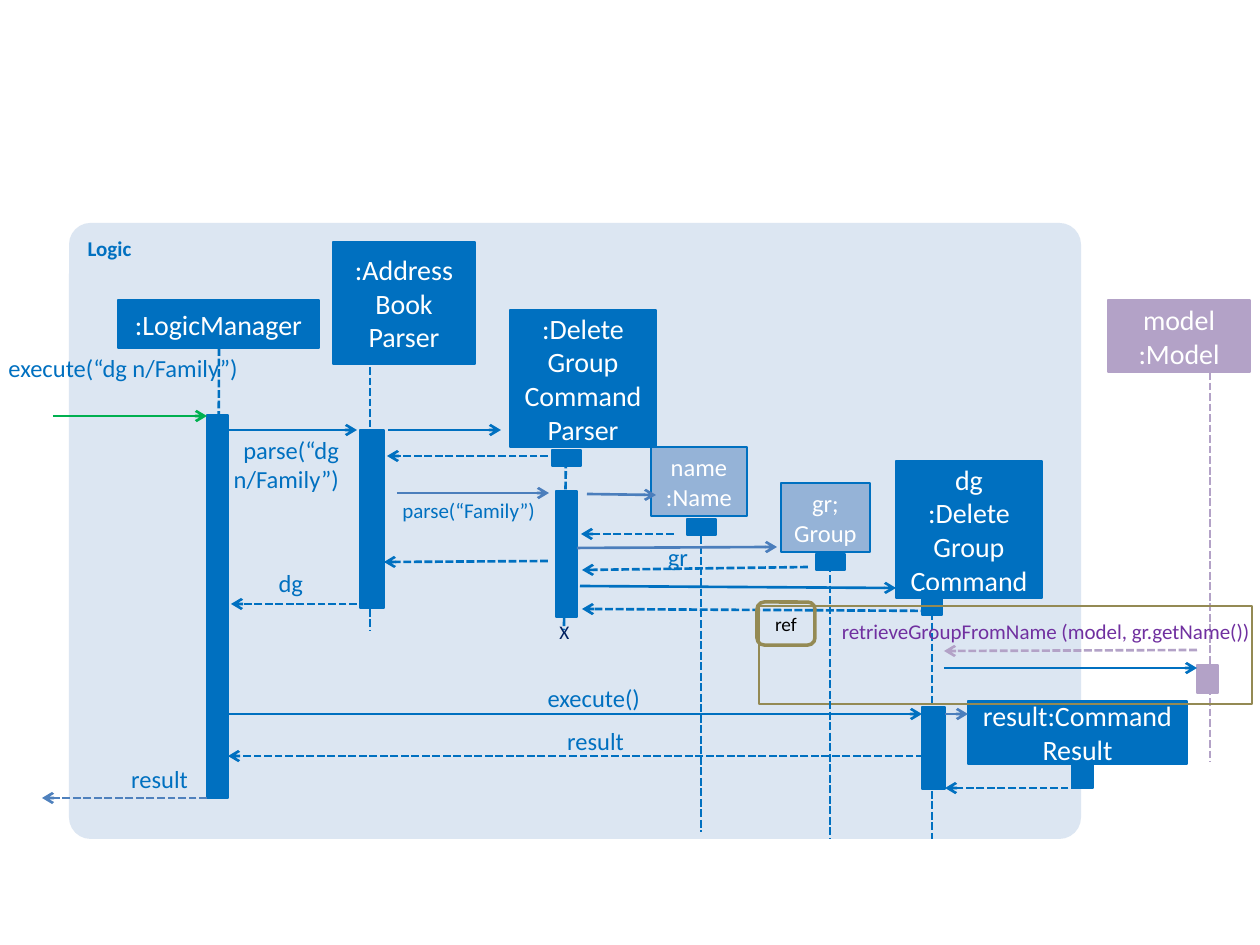
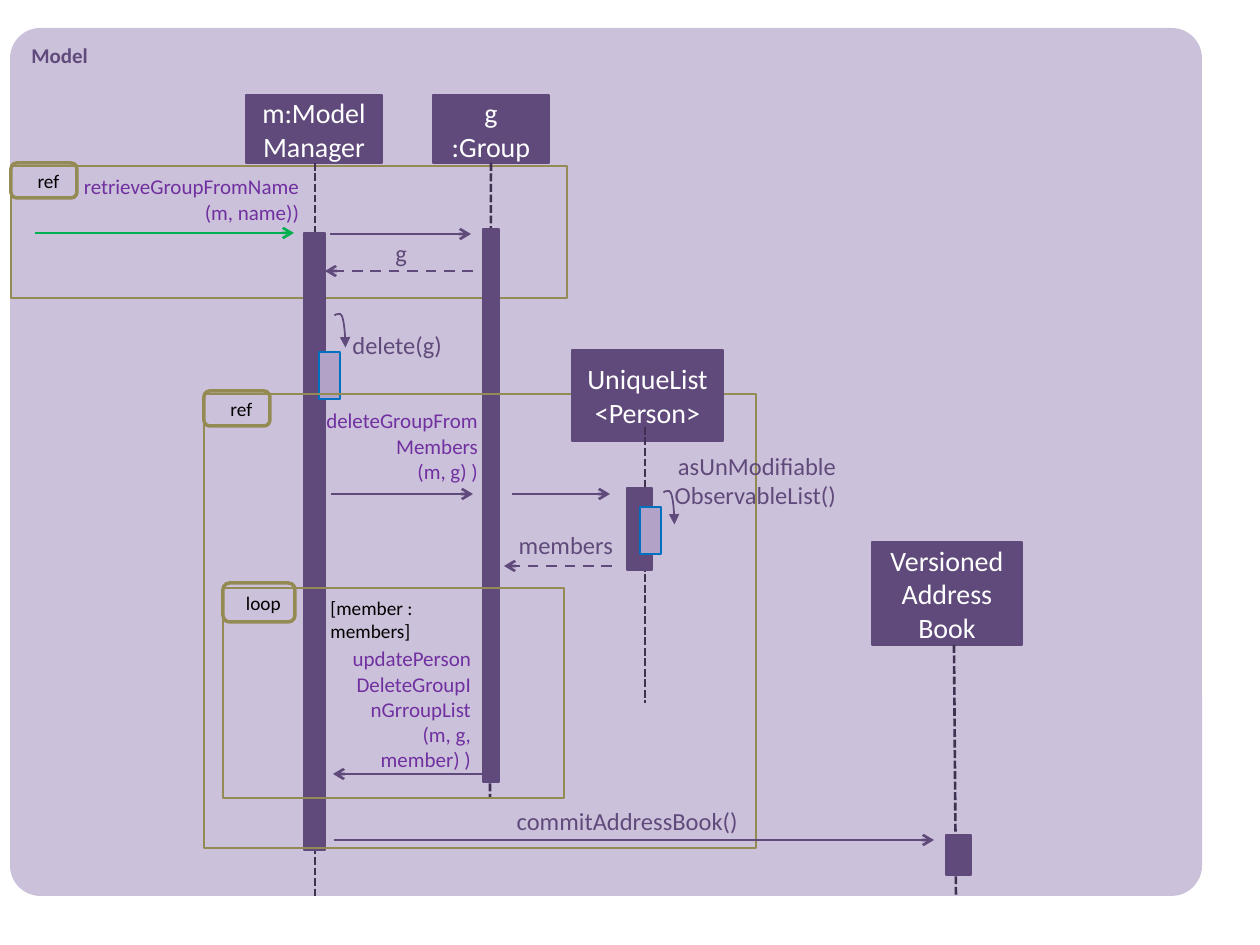
from dataclasses import dataclass
from typing import Optional, Union

from pptx import Presentation
from pptx import util as u
from pptx.dml.color import RGBColor
from pptx.enum import dml, shapes, text
from pptx.oxml import ns, xmlchemy

SCALE = 914400 / 126


@dataclass(frozen=True)
class Theme:
    font: str = "Calibri"
    blue: str = "0070C0"
    steel: str = "4B7EBC"
    azure: str = "4F81BD"
    light: str = "95B3D7"
    pale: str = "DCE6F2"
    navy: str = "002060"
    green: str = "00B050"
    lilac: str = "B3A2C7"
    mauve: str = "CCC1DA"
    plum: str = "604A7B"
    dark: str = "403152"
    violet: str = "7030A0"
    olive: str = "948A54"
    white: str = "FFFFFF"
    black: str = "000000"
    big: int = 16
    mid: int = 14
    small: int = 12
    tiny: int = 11


T = Theme()
ALIGN = text.PP_ALIGN
DASH = dml.MSO_LINE


@dataclass
class Panel:
    x: int
    y: int
    w: int
    h: int
    label: str
    fill: str
    ink: str


@dataclass
class Head:
    x: int
    y: int
    w: int
    h: int
    lines: tuple[str, ...]
    fill: str = T.blue
    edge: str = ""
    size: int = T.big


@dataclass
class Bar:
    x: int
    y: int
    w: int
    h: int
    fill: str = T.blue
    edge: str = ""


@dataclass
class Link:
    x1: int
    y1: int
    x2: int
    y2: int
    color: str = T.blue
    dash: Optional[DASH] = None
    tip: str = "arrow"


@dataclass
class Loop:
    x: int
    y: int
    w: int = 32
    h: int = 11
    color: str = T.plum


@dataclass
class Note:
    x: int
    y: int
    w: int
    h: int
    lines: tuple[str, ...]
    ink: str = T.blue
    size: int = T.mid


@dataclass
class Guard:
    x: int
    y: int
    w: int
    h: int
    label: str
    ink: str
    wrap: bool = True


@dataclass
class Frame:
    x: int
    y: int
    w: int
    h: int
    label: str
    tab: tuple[int, int, int, int]
    shift: int = 0


Item = Union[Panel, Head, Bar, Link, Loop, Note, Guard, Frame]


def px(n: float) -> u.Emu:
    return u.Emu(round(n * SCALE))


def rgb(code: str) -> RGBColor:
    return RGBColor.from_string(code)


def call(x1: int, y1: int, x2: int, y2: int, color: str = T.blue) -> Link:
    return Link(x1, y1, x2, y2, color)


def reply(x1: int, y1: int, x2: int, y2: int, color: str = T.blue,
          dash: DASH = DASH.SQUARE_DOT) -> Link:
    return Link(x1, y1, x2, y2, color, dash)


def life(x1: int, y1: int, x2: int, y2: int, color: str = T.blue) -> Link:
    return Link(x1, y1, x2, y2, color, DASH.SQUARE_DOT, "")


def write(frame, lines: tuple[str, ...], size: int, ink: str,
          align: ALIGN, bold: bool = False) -> None:
    for i, line in enumerate(lines):
        para = frame.paragraphs[0] if i == 0 else frame.add_paragraph()
        para.alignment = align
        for j, part in enumerate(line.split("\n")):
            if j:
                para.add_line_break()
            run = para.add_run()
            run.text = part
            run.font.name = T.font
            run.font.size = u.Pt(size)
            run.font.bold = bold
            run.font.color.rgb = rgb(ink)


def block(pen, kind, area: tuple[int, int, int, int], fill: str,
          edge: str, width: float):
    shape = pen.add_shape(kind, *map(px, area))
    shape.shadow.inherit = False
    if fill:
        shape.fill.solid()
        shape.fill.fore_color.rgb = rgb(fill)
    else:
        shape.fill.background()
    if edge:
        shape.line.color.rgb = rgb(edge)
        shape.line.width = u.Pt(width)
    else:
        shape.line.fill.background()
    shape.text_frame.word_wrap = True
    return shape


def wire(pen, kind, ends: tuple[int, int, int, int], color: str,
         width: float, tip: str):
    line = pen.add_connector(kind, *map(px, ends))
    line.line.color.rgb = rgb(color)
    line.line.width = u.Pt(width)
    props = line.element.spPr
    if tip:
        end = xmlchemy.OxmlElement("a:tailEnd")
        end.set("type", tip)
        props.find(ns.qn("a:ln")).append(end)
    props.append(xmlchemy.OxmlElement("a:effectLst"))
    return line


def panel(pen, p: Panel) -> None:
    shape = block(pen, shapes.MSO_SHAPE.ROUNDED_RECTANGLE,
                  (p.x, p.y, p.w, p.h), p.fill, "", 0)
    shape.adjustments[0] = 0.035
    shape.text_frame.vertical_anchor = text.MSO_ANCHOR.TOP
    write(shape.text_frame, (p.label,), T.small, p.ink, ALIGN.LEFT, True)


def head(pen, h: Head) -> None:
    shape = block(pen, shapes.MSO_SHAPE.RECTANGLE, (h.x, h.y, h.w, h.h),
                  h.fill, h.edge or h.fill, 1.5)
    shape.text_frame.vertical_anchor = text.MSO_ANCHOR.MIDDLE
    write(shape.text_frame, h.lines, h.size, T.white, ALIGN.CENTER)


def bar(pen, b: Bar) -> None:
    block(pen, shapes.MSO_SHAPE.RECTANGLE, (b.x, b.y, b.w, b.h),
          b.fill, b.edge or b.fill, 0.75)


def link(pen, k: Link) -> None:
    line = wire(pen, shapes.MSO_CONNECTOR.STRAIGHT,
                (k.x1, k.y1, k.x2, k.y2), k.color, 1.5, k.tip)
    if k.dash:
        line.line.dash_style = k.dash


def loop(pen, c: Loop) -> None:
    line = wire(pen, shapes.MSO_CONNECTOR.CURVE,
                (c.x + c.w, c.y, c.x, c.y + c.h), c.color, 1, "triangle")
    props = line.element.spPr
    props.find(ns.qn("a:xfrm")).set("rot", str(270 * 60000))
    guide = xmlchemy.OxmlElement("a:gd")
    guide.set("name", "adj1")
    guide.set("fmla", "val -5400")
    geom = props.find(ns.qn("a:prstGeom"))
    geom.find(ns.qn("a:avLst")).append(guide)


def note(pen, n: Note) -> None:
    frame = pen.add_textbox(*map(px, (n.x, n.y, n.w, n.h))).text_frame
    frame.margin_left = frame.margin_right = 0
    frame.margin_top = frame.margin_bottom = 0
    frame.word_wrap = True
    frame.auto_size = text.MSO_AUTO_SIZE.SHAPE_TO_FIT_TEXT
    write(frame, n.lines, n.size, n.ink, ALIGN.RIGHT)


def guard(pen, g: Guard) -> None:
    frame = pen.add_textbox(*map(px, (g.x, g.y, g.w, g.h))).text_frame
    frame.word_wrap = g.wrap
    frame.auto_size = text.MSO_AUTO_SIZE.SHAPE_TO_FIT_TEXT
    write(frame, (g.label,), T.tiny, g.ink, ALIGN.LEFT)


def fence(pen, f: Frame) -> None:
    group = pen.add_group_shape().shapes
    block(group, shapes.MSO_SHAPE.RECTANGLE, (f.x, f.y, f.w, f.h),
          "", T.olive, 1.5)
    tab = block(group, shapes.MSO_SHAPE.ROUNDED_RECTANGLE, f.tab,
                "", T.olive, 2)
    tab.text_frame.margin_left = px(f.shift)
    tab.text_frame.margin_right = 0
    tab.text_frame.vertical_anchor = text.MSO_ANCHOR.MIDDLE
    write(tab.text_frame, (f.label,), T.tiny, T.black, ALIGN.CENTER)


DRAW = {Panel: panel, Head: head, Bar: bar, Link: link, Loop: loop,
        Note: note, Guard: guard, Frame: fence}

LOGIC: list[Item] = [
    Panel(69, 223, 1012, 616, "Logic", T.pale, T.blue),
    Head(118, 300, 201, 48, (":LogicManager",)),
    life(219, 348, 218, 714),
    Bar(207, 415, 21, 383),
    Head(333, 242, 142, 122, (":Address", "Book", "Parser")),
    life(370, 367, 370, 630),
    Bar(360, 430, 24, 178),
    Head(896, 461, 146, 137, ("dg", ":Delete", "Group\nCommand")),
    life(932, 591, 932, 839),
    Bar(922, 591, 20, 24),
    call(53, 416, 207, 416, T.green),
    call(228, 430, 357, 430),
    Note(0, 353, 238, 30, ("execute(“dg n/Family”)",)),
    call(580, 586, 896, 588),
    Note(522, 683, 118, 30, ("execute()",)),
    reply(939, 611, 582, 609),
    reply(357, 604, 231, 604),
    reply(207, 798, 42, 798, T.azure),
    Head(1108, 300, 142, 72, ("model", ":Model"), T.lilac),
    call(228, 714, 922, 714),
    Bar(922, 707, 23, 82),
    life(1210, 372, 1210, 762, T.lilac),
    Bar(1197, 665, 21, 28, T.lilac),
    call(944, 668, 1197, 668),
    reply(1197, 650, 944, 651, T.lilac),
    reply(924, 756, 228, 756),
    Note(834, 619, 416, 25,
         ("retrieveGroupFromName (model, gr.getName())",),
         T.violet, T.small),
    Note(229, 435, 110, 59, ("parse(“dg n/Family”)",)),
    Note(538, 726, 86, 30, ("result",)),
    Note(83, 764, 105, 30, ("result",)),
    Head(968, 701, 219, 63, ("result:Command Result",)),
    Bar(1072, 764, 21, 24),
    reply(1079, 788, 945, 788),
    Note(273, 568, 30, 30, ("dg",)),
    Head(510, 310, 146, 137, (":Delete", "Group", "Command", "Parser")),
    call(397, 493, 549, 493, T.steel),
    Bar(552, 450, 29, 16),
    life(566, 450, 564, 630),
    Bar(556, 491, 21, 126),
    reply(548, 561, 384, 562),
    call(945, 714, 968, 714, T.steel),
    call(388, 430, 501, 430),
    reply(548, 456, 387, 456),
    Guard(547, 614, 35, 37, "X", T.navy, False),
    Note(389, 498, 146, 25, ("parse(“Family”)",), T.blue, T.small),
    Frame(759, 606, 493, 98, "ref", (757, 602, 58, 43)),
    Head(651, 447, 96, 69, ("name", ":Name"), T.light, T.blue, T.mid),
    call(587, 494, 656, 495, T.steel),
    Bar(687, 519, 29, 16),
    reply(674, 534, 581, 534),
    life(701, 536, 701, 832),
    Head(781, 483, 89, 69, ("gr;", "Group"), T.light, T.blue, T.mid),
    Bar(816, 554, 29, 16),
    life(830, 554, 830, 838),
    call(577, 548, 777, 547, T.steel),
    reply(808, 567, 582, 570),
    Note(602, 542, 86, 30, ("gr",)),
]

MODEL: list[Item] = [
    Panel(10, 28, 1192, 868, "Model", T.mauve, T.plum),
    Note(81, 174, 218, 50, ("retrieveGroupFromName (m, name))",),
         T.violet, T.small),
    Frame(11, 166, 556, 132, "ref", (11, 163, 66, 35), 9),
    call(35, 233, 294, 233, T.green),
    Head(246, 95, 136, 68, ("m:Model", "Manager"), T.plum),
    life(315, 163, 315, 896, T.dark),
    Bar(304, 233, 21, 617, T.plum),
    Head(433, 95, 116, 68, ("g", ":Group"), T.plum),
    life(491, 163, 490, 798, T.dark),
    Bar(483, 229, 16, 553, T.plum),
    call(330, 234, 471, 234, T.plum),
    reply(473, 271, 325, 271, T.plum, DASH.DASH),
    Note(321, 238, 86, 30, ("g",), T.plum),
    Bar(319, 352, 21, 47, T.lilac, T.blue),
    Loop(324, 326),
    Note(349, 330, 93, 30, ("delete(g)",), T.plum),
    call(331, 494, 473, 494, T.plum),
    Frame(204, 394, 552, 454, "ref", (204, 391, 66, 35), 9),
    Note(315, 408, 163, 77, ("deleteGroupFromMembers", "(m, g) )"),
         T.violet, T.small),
    Head(572, 350, 151, 91, ("UniqueList", "<Person>"), T.plum),
    life(645, 427, 645, 703, T.dark),
    Bar(627, 488, 25, 82, T.plum),
    call(512, 494, 610, 494, T.plum),
    Bar(640, 507, 21, 47, T.lilac, T.blue),
    Note(665, 451, 171, 59, ("asUnModifiableObservableList()",), T.plum),
    Loop(653, 503),
    reply(612, 566, 504, 566, T.plum, DASH.DASH),
    Note(515, 530, 98, 30, ("members",), T.plum),
    Frame(223, 588, 341, 210, "loop", (223, 583, 72, 39), 9),
    Guard(318, 590, 147, 60, "[member : members]", T.black),
    call(483, 774, 333, 774, T.plum),
    Note(349, 646, 122, 127,
         ("updatePersonDeleteGroupInGrroupList", "(m, g, member) )"),
         T.violet, T.small),
    Head(872, 542, 150, 103, ("VersionedAddress", "Book"), T.plum),
    call(334, 840, 934, 840, T.plum),
    life(954, 645, 956, 896, T.dark),
    Note(483, 806, 255, 30, ("commitAddressBook()",), T.plum),
    Bar(946, 835, 25, 40, T.plum),
]

deck = Presentation()
deck.slide_width, deck.slide_height = px(1260), px(945)
for items in (LOGIC, MODEL):
    slide = deck.slides.add_slide(deck.slide_layouts[6])
    for item in items:
        DRAW[type(item)](slide.shapes, item)
deck.save("out.pptx")
